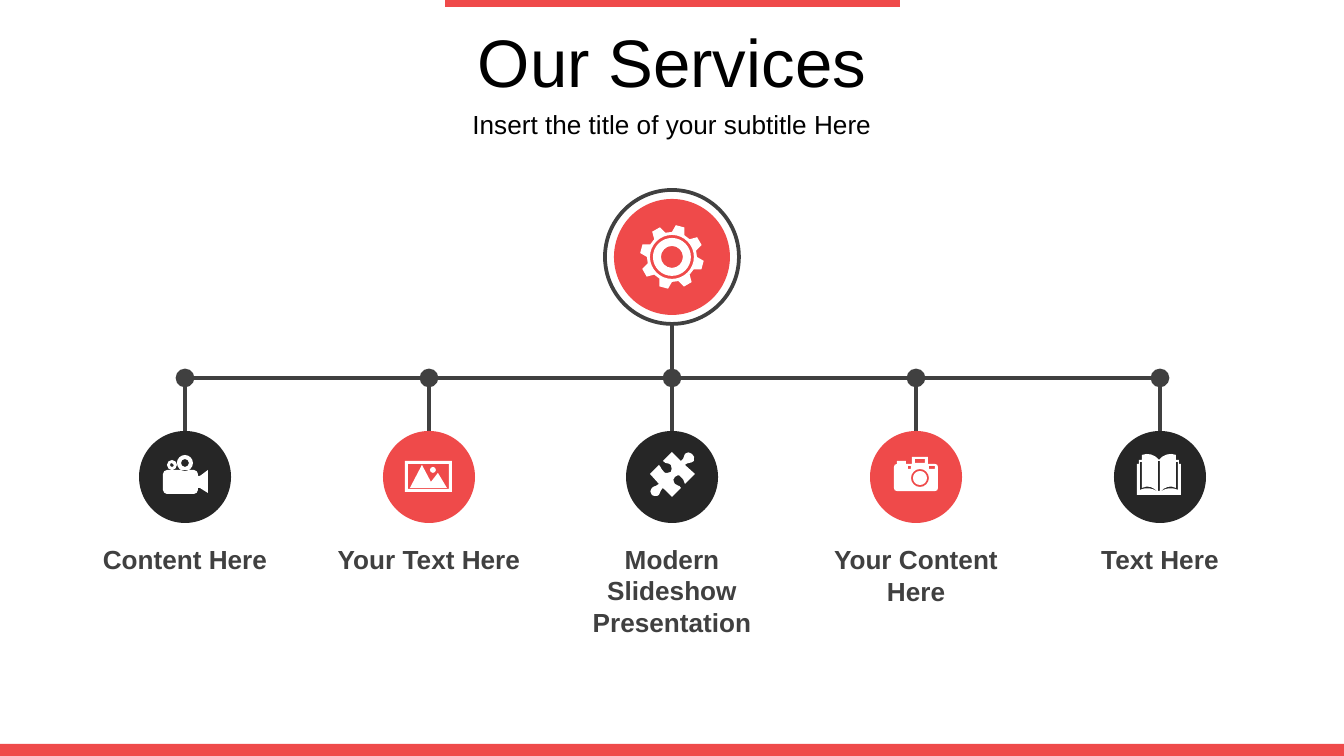
from dataclasses import dataclass
from math import cos, radians, sin

from lxml import etree
from pptx import Presentation
from pptx.dml.color import RGBColor
from pptx.enum.shapes import MSO_CONNECTOR, MSO_SHAPE
from pptx.enum.text import MSO_ANCHOR, MSO_AUTO_SIZE, PP_ALIGN
from pptx.oxml.ns import qn
from pptx.util import Emu, Pt

RECTANGLE, OVAL = MSO_SHAPE.RECTANGLE, MSO_SHAPE.OVAL
STRAIGHT = MSO_CONNECTOR.STRAIGHT
CENTER, MIDDLE, NO_AUTOFIT = PP_ALIGN.CENTER, MSO_ANCHOR.MIDDLE, MSO_AUTO_SIZE.NONE

SCALE = 914400 / 134.4  # EMU in one px
DETAIL = 100  # freeform steps in one px
WIDTH, HEIGHT = 1344, 756
CENTER_X, HUB_Y, RAIL_Y, CIRCLE_Y, LABEL_Y = 672, 257, 378, 431, 537
RAIL_LEFT, RAIL_RIGHT = 185, 1160
CIRCLE_SIZE, LABEL_WIDTH = 92, 228
LINE_HEIGHT, LABEL_PADDING = 31, 14
COLORS = {"red": "EF4A4A", "dark": "262626", "gray": "404040",
          "white": "FFFFFF", "black": "000000"}
TITLE_FORMAT = {"name": "Arial", "size": Pt(36), "bold": False}
SUBTITLE_FORMAT = {"name": "Arial", "size": Pt(14), "bold": False}
LABEL_FORMAT = {"name": "Arial", "size": Pt(14), "bold": True}

# A step is an (x, y) line or a six-number Bézier curve; the first step is a point.
Contour = list[tuple[float, ...]]


@dataclass
class Service:
    label: str
    lines: int
    color: str
    icon: list[Contour]


def px(value: float) -> Emu:
    return Emu(round(value * SCALE))


def rgb(name: str) -> RGBColor:
    return RGBColor.from_string(COLORS[name])


def circle(x: int, y: int, r: int) -> Contour:
    k = 0.55 * r
    return [(x, y - r),
            (x + k, y - r, x + r, y - k, x + r, y), (x + r, y + k, x + k, y + r, x, y + r),
            (x - k, y + r, x - r, y + k, x - r, y), (x - r, y - k, x - k, y - r, x, y - r)]


def box(left: int, top: int, right: int, bottom: int) -> Contour:
    return [(left, top), (right, top), (right, bottom), (left, bottom)]


def mirrored(contour: Contour, axis: int) -> Contour:
    return [tuple(2 * axis - value if place % 2 == 0 else value
                  for place, value in enumerate(step)) for step in contour]


def gear(x: int, y: int) -> list[Contour]:
    corners = ((0, 25), (7, 32), (23, 32), (30, 25))
    teeth = [(x + radius * sin(radians(turn + angle)), y - radius * cos(radians(turn + angle)))
             for turn in range(0, 360, 45) for angle, radius in corners]
    return [teeth, *(circle(x, y, radius) for radius in (22, 19, 11))]


MOVIE_CAMERA = [
    [(163, 474), (163, 472, 165, 470, 167, 470), (194, 470),
     (196, 470, 198, 472, 198, 474), (198, 476), (200, 476), (208, 470), (208, 493),
     (200, 488), (198, 488), (198, 490), (198, 492, 196, 494, 194, 494),
     (167, 494), (165, 494, 163, 492, 163, 490)],
    circle(185, 463, 8), circle(185, 463, 4), circle(172, 465, 5), circle(172, 465, 2)]
PHOTO = [box(405, 461, 452, 492), box(408, 464, 449, 489),
         [(422, 465), (431, 482), (438, 473), (447, 488), (410, 488)], circle(433, 470, 3)]
PUZZLE = [[
    (692, 454), (694, 455, 695, 458, 694, 461), (691, 464, 688, 462, 685, 465),
    (695, 474), (685, 484), (683, 481, 684, 478, 681, 477), (679, 474, 676, 476, 675, 477),
    (673, 478, 673, 481, 675, 484), (677, 487, 679, 484, 681, 488), (672, 497), (663, 488),
    (660, 491, 661, 492, 659, 495), (657, 497, 653, 496, 652, 495),
    (650, 493, 650, 491, 652, 488), (655, 485, 657, 487, 659, 484), (650, 474), (659, 465),
    (662, 468, 661, 470, 664, 472), (665, 474, 669, 473, 671, 472),
    (672, 470, 672, 468, 671, 465), (667, 462, 667, 465, 663, 461), (672, 452), (681, 461),
    (685, 458, 683, 457, 685, 454), (688, 452, 690, 452, 692, 454)]]
CAMERA = [
    [(894, 467), (894, 465, 895, 464, 897, 464), (897, 461), (906, 461), (906, 464),
     (912, 464), (912, 457), (928, 457), (928, 464), (935, 464),
     (937, 464, 938, 465, 938, 467), (938, 488), (938, 490, 937, 491, 935, 491),
     (897, 491), (895, 491, 894, 490, 894, 488)],
    circle(920, 478, 9), circle(920, 478, 7), box(915, 459, 925, 463),
    box(908, 466, 911, 469), box(929, 466, 935, 469)]
BOOK_AXIS = 1159
LEFT_COVER = [(1159, 495), (1137, 495), (1137, 464), (1139, 464), (1139, 460),
              (1142, 460), (1142, 455), (1148, 453, 1154, 454, 1159, 460)]
PAGE_EDGE = [(1140, 462), (1142, 462), (1142, 488), (1148, 485, 1153, 487, 1158, 492),
             (1152, 488, 1147, 487, 1140, 490)]
RIGHT_COVER = [(1164, 454, 1170, 453, 1176, 455), (1176, 460), (1179, 460),
               (1179, 464), (1181, 464), (1181, 495)]
BOOK = [LEFT_COVER + RIGHT_COVER, PAGE_EDGE, mirrored(PAGE_EDGE, BOOK_AXIS),
        box(1158, 461, 1160, 491)]

SERVICES = [
    Service("Content Here", 1, "dark", MOVIE_CAMERA),
    Service("Your Text Here", 1, "red", PHOTO),
    Service("Modern Slideshow Presentation", 3, "dark", PUZZLE),
    Service("Your Content Here", 2, "red", CAMERA),
    Service("Text Here", 1, "dark", BOOK),
]


def style(shape, fill: str, line: str | None = None) -> None:
    shape.shadow.inherit = False
    shape.fill.solid()
    shape.fill.fore_color.rgb = rgb(fill)
    if line:
        shape.line.color.rgb = rgb(line)
        shape.line.width = Pt(2)
    else:
        shape.line.fill.background()


def add_filled(slide, kind, left: int, top: int, width: int, height: int,
               fill: str, line: str | None = None) -> None:
    shape = slide.shapes.add_shape(kind, px(left), px(top), px(width), px(height))
    style(shape, fill, line)


def add_icon(slide, contours: list[Contour]) -> None:
    """Draw every step as lines, then join the three lines of each curve into one."""
    builder = None
    for contour in contours:
        points = [(step[place] * DETAIL, step[place + 1] * DETAIL)
                  for step in contour for place in range(0, len(step), 2)]
        if builder is None:
            builder = slide.shapes.build_freeform(*points[0], scale=SCALE / DETAIL)
        else:
            builder.move_to(*points[0])
        builder.add_line_segments(points[1:], close=True)
    shape = builder.convert_to_shape()
    style(shape, "white")
    lines = iter(list(shape._element.iter(qn("a:lnTo"))))
    for step in (step for contour in contours for step in contour[1:]):
        segment = next(lines)
        if len(step) == 6:
            segment.tag = qn("a:cubicBezTo")
            for control in (next(lines), next(lines)):
                segment.append(control[0])
                control.getparent().remove(control)


def add_line(slide, x1: int, y1: int, x2: int, y2: int, dot: bool = False) -> None:
    connector = slide.shapes.add_connector(STRAIGHT, px(x1), px(y1), px(x2), px(y2))
    connector.line.color.rgb = rgb("gray")
    connector.line.width = Pt(2)
    if dot:
        etree.SubElement(connector.line._get_or_add_ln(), qn("a:headEnd"),
                         type="oval", w="lg", len="lg")
    etree.SubElement(connector._element.spPr, qn("a:effectLst"))


def add_text(shape, position: tuple[int, ...], text: str, color: str, text_format: dict) -> None:
    for name, value in zip(("left", "top", "width", "height"), position):
        setattr(shape, name, px(value))
    frame = shape.text_frame
    frame.text = text
    frame.word_wrap = True
    frame.auto_size = NO_AUTOFIT
    frame.vertical_anchor = MIDDLE
    paragraph = frame.paragraphs[0]
    paragraph.alignment = CENTER
    paragraph.space_before = Pt(0)
    font = paragraph.runs[0].font
    for name, value in text_format.items():
        setattr(font, name, value)
    font.color.rgb = rgb(color)


def main() -> None:
    presentation = Presentation()
    presentation.slide_width, presentation.slide_height = px(WIDTH), px(HEIGHT)
    slide = presentation.slides.add_slide(presentation.slide_layouts[0])
    title, subtitle = slide.placeholders
    add_text(title, (0, 18, WIDTH, 85), "Our Services", "black", TITLE_FORMAT)
    add_text(subtitle, (0, 103, WIDTH, 42), "Insert the title of your subtitle Here",
             "black", SUBTITLE_FORMAT)
    add_filled(slide, RECTANGLE, 445, 0, 455, 7, "red")
    add_filled(slide, RECTANGLE, 0, 744, WIDTH, 12, "red")

    for size, fill, line in ((134, "white", "gray"), (116, "red", None)):
        add_filled(slide, OVAL, CENTER_X - size // 2, HUB_Y - size // 2, size, size, fill, line)
    add_icon(slide, gear(CENTER_X, HUB_Y))
    add_line(slide, CENTER_X, 325, CENTER_X, RAIL_Y)
    add_line(slide, RAIL_LEFT, RAIL_Y, RAIL_RIGHT, RAIL_Y)

    step = (RAIL_RIGHT - RAIL_LEFT) / (len(SERVICES) - 1)
    for column, service in enumerate(SERVICES):
        x = round(RAIL_LEFT + column * step)
        add_line(slide, x, RAIL_Y, x, CIRCLE_Y, dot=True)
        add_filled(slide, OVAL, x - CIRCLE_SIZE // 2, CIRCLE_Y, CIRCLE_SIZE, CIRCLE_SIZE,
                   service.color)
        add_icon(slide, service.icon)
        height = LABEL_PADDING + LINE_HEIGHT * service.lines
        add_text(slide.shapes.add_textbox(0, 0, 0, 0),
                 (x - LABEL_WIDTH // 2, LABEL_Y, LABEL_WIDTH, height),
                 service.label, "gray", LABEL_FORMAT)
    presentation.save("out.pptx")


if __name__ == "__main__":
    main()
